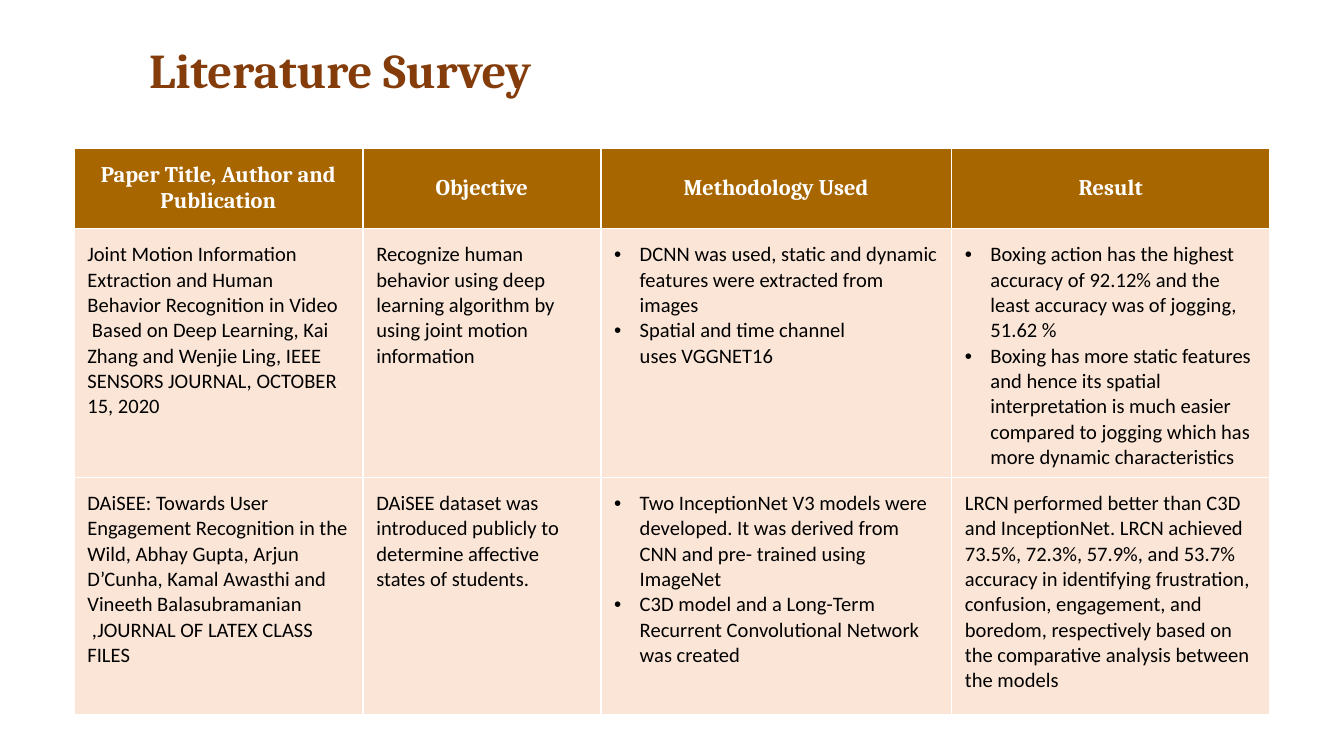
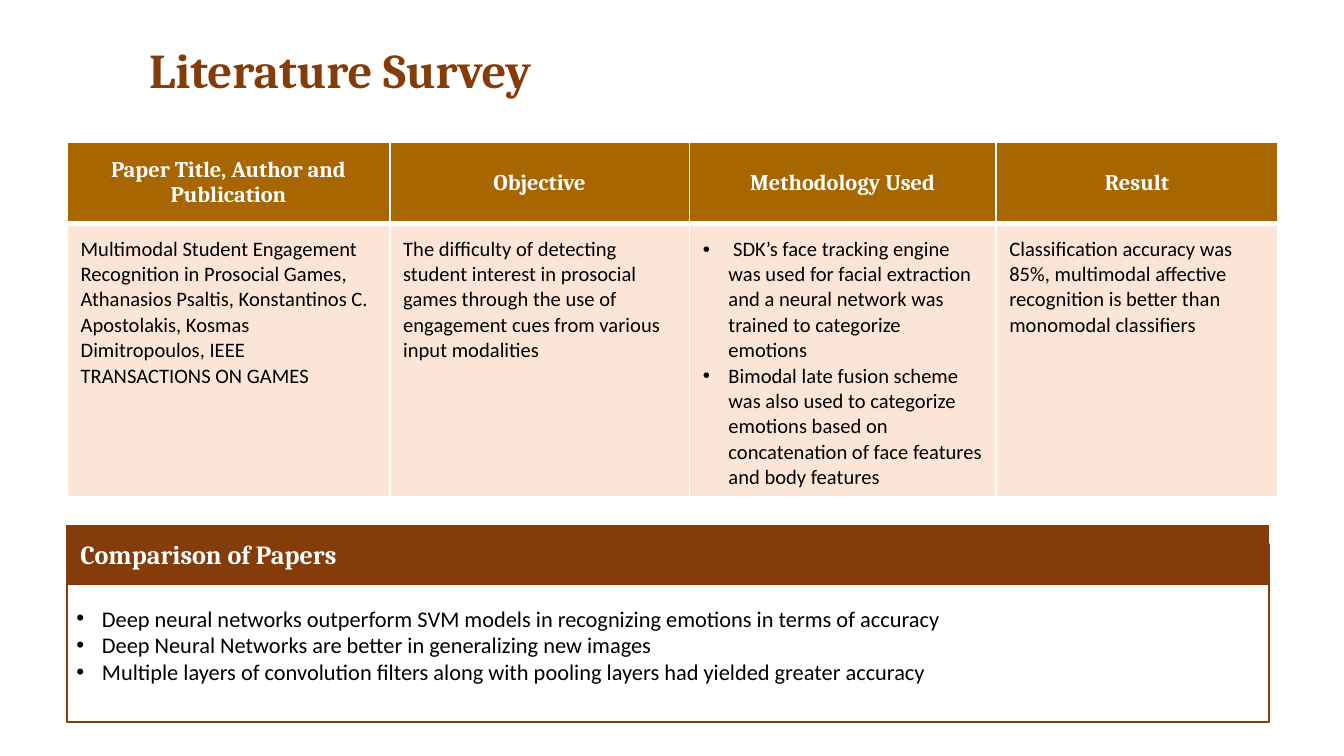
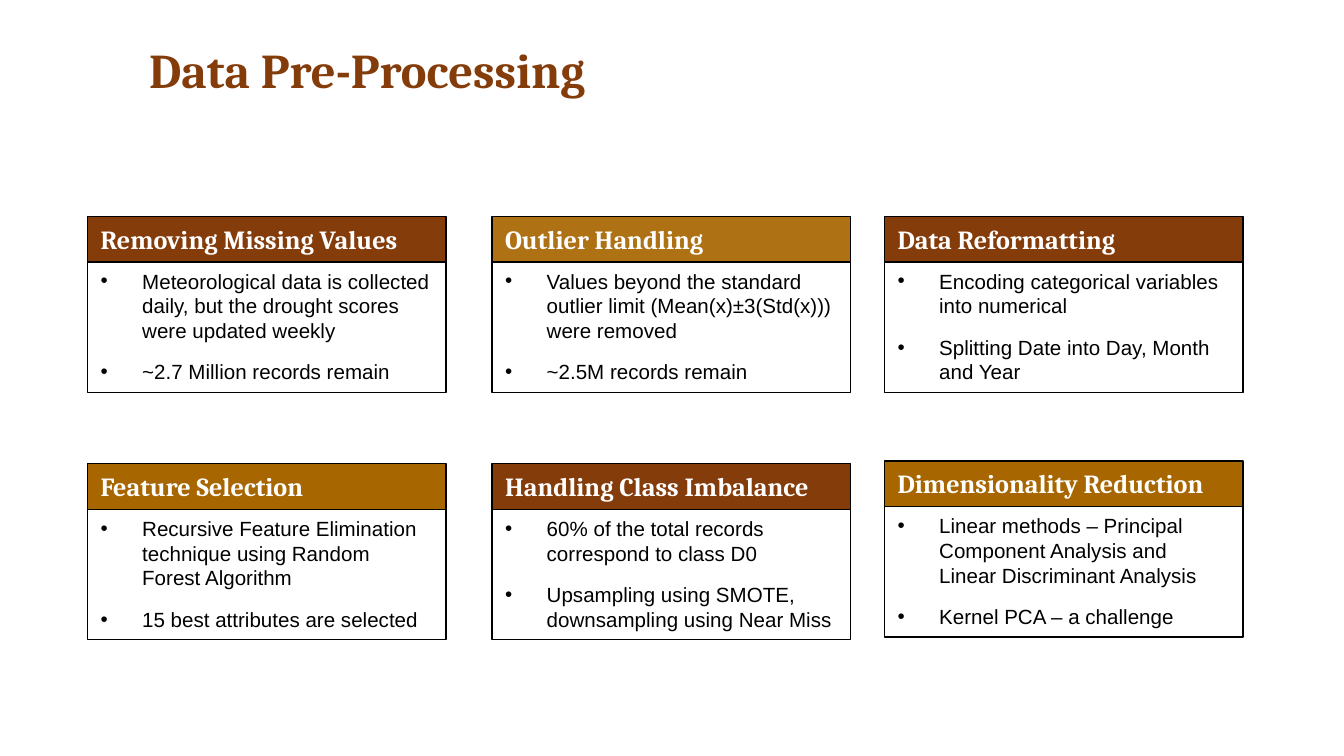
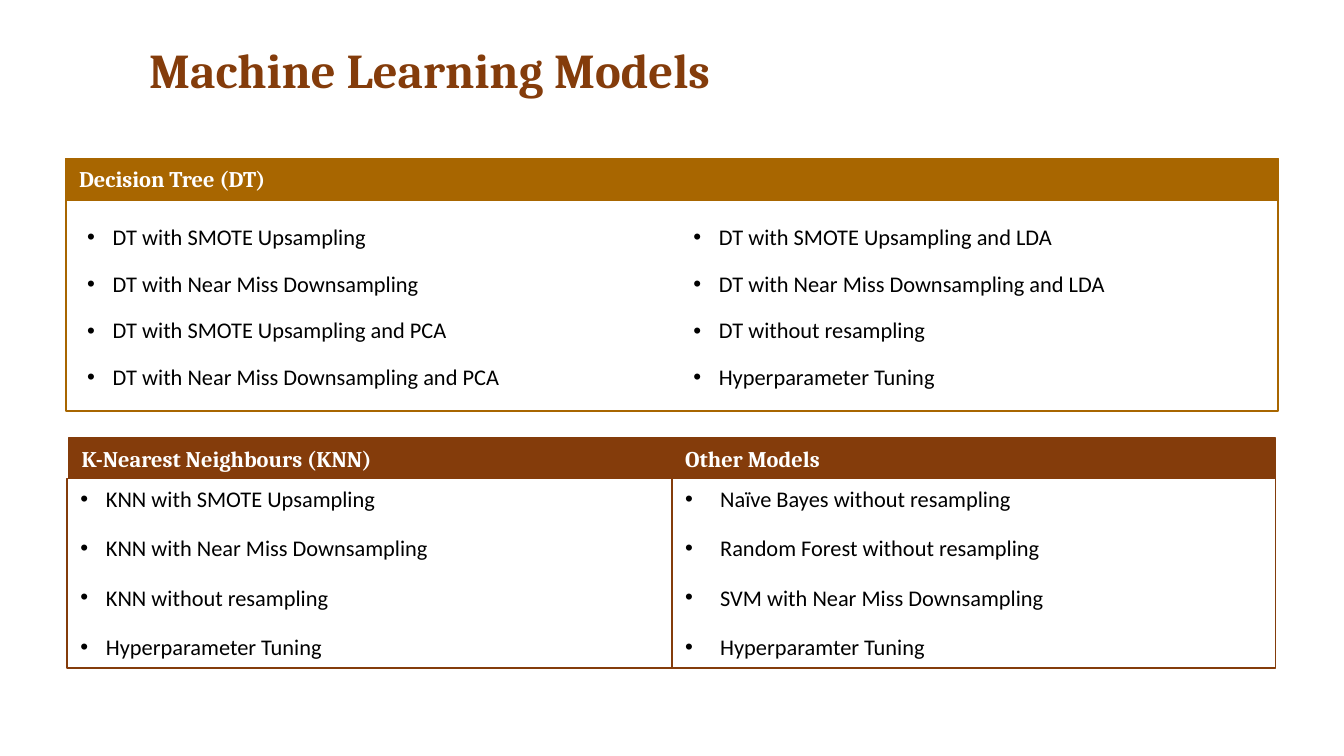
from copy import deepcopy

from pptx import Presentation
from pptx import util as u
from pptx.dml.color import RGBColor
from pptx.enum import shapes, text
from pptx.oxml import ns, xmlchemy

BROWN = RGBColor(0x84, 0x3C, 0x0B)
OCHRE = RGBColor(0xA8, 0x66, 0x00)
PEACH = RGBColor(0xFB, 0xE5, 0xD6)
WHITE = RGBColor(0xFF, 0xFF, 0xFF)
BLACK = RGBColor(0x00, 0x00, 0x00)

TOP = text.MSO_ANCHOR.TOP
MIDDLE = text.MSO_ANCHOR.MIDDLE
LEFT = text.PP_ALIGN.LEFT
CENTER = text.PP_ALIGN.CENTER

NBSP = chr(160)
HEADING = dict(font="Cambria", color=WHITE, bold=True)
CELL = dict(font="Calibri", size=11)
BODY = dict(font="Calibri", size=12)
SURVEY_HEADS = ["Paper Title, Author and Publication", "Objective", "Methodology Used", "Result"]


def add_xml(parent, tag, **attributes):
    element = xmlchemy.OxmlElement(tag)
    for name, value in attributes.items():
        element.set(name, str(value))
    parent.append(element)
    return element


def add_bullet(para, indent, hanging):
    properties = para._p.get_or_add_pPr()
    properties.set("marL", str(u.Inches(indent)))
    properties.set("indent", str(-u.Inches(hanging)))
    add_xml(add_xml(properties, "a:buClr"), "a:srgbClr", val=BLACK)
    add_xml(properties, "a:buFont", typeface="Arial")
    add_xml(properties, "a:buChar", char="•")


def write(frame, lines, font="Calibri", size=12, color=BLACK, bold=False, align=LEFT,
          bullet=None, hanging=None, before=0, after=0, spacing=None):
    for index, line in enumerate(lines):
        para = frame.add_paragraph() if index else frame.paragraphs[0]
        if bullet:
            add_bullet(para, bullet, hanging or bullet)
        para.alignment = align
        para.space_before = u.Pt(before if index else 0)
        para.space_after = u.Pt(after)
        if spacing:
            para.line_spacing = spacing
        for part_index, part in enumerate(line.split("\n")):
            if part_index:
                para.add_line_break()
            span = para.add_run()
            span.text = part
            span.font.name = font
            span.font.size = u.Pt(size)
            span.font.bold = bold
            span.font.color.rgb = color
        for line_break in para._p.findall(ns.qn("a:br")):
            line_break.append(deepcopy(para.runs[0]._r.rPr))


def set_opacity(fill, percent):
    color = fill._xPr.find(ns.qn("a:solidFill"))[0]
    add_xml(color, "a:alpha", val=percent * 1000)


def set_borders(cell, bottom):
    properties = cell._tc.get_or_add_tcPr()
    for position, (side, width) in enumerate((("L", 1), ("R", 1), ("T", 1), ("B", bottom))):
        line = xmlchemy.OxmlElement(f"a:ln{side}")
        line.set("w", str(u.Pt(width)))
        add_xml(add_xml(line, "a:solidFill"), "a:srgbClr", val=WHITE)
        properties.insert(position, line)


class SlideBuilder:
    def __init__(self, deck):
        self.deck = deck
        self.page = None
        self.target = None

    def start(self, title):
        self.page = self.deck.slides.add_slide(self.deck.slide_layouts[5])
        self.target = self.page.shapes
        box = self.page.shapes.title
        box.left, box.top = u.Inches(1.01), u.Inches(0.25)
        box.width, box.height = u.Inches(8.25), u.Inches(0.54)
        self.fill_frame(box.text_frame, [title], font="Cambria", size=26, color=BROWN, bold=True)

    def group(self):
        self.target = self.page.shapes.add_group_shape().shapes

    def fill_frame(self, frame, lines, anchor=TOP, inset=0.05, **style):
        frame.word_wrap = True
        frame.vertical_anchor = anchor
        frame.margin_left = frame.margin_right = u.Inches(0.1)
        frame.margin_top = frame.margin_bottom = u.Inches(inset)
        frame.auto_size = (text.MSO_AUTO_SIZE.SHAPE_TO_FIT_TEXT if anchor == TOP
                           else text.MSO_AUTO_SIZE.NONE)
        write(frame, lines, **style)

    def text(self, area, lines, **style):
        box = self.target.add_textbox(*map(u.Inches, area))
        self.fill_frame(box.text_frame, lines, **style)

    def box(self, area, lines=(), fill=None, opacity=100, line=BLACK, weight=0.75, **style):
        box = self.target.add_shape(shapes.MSO_SHAPE.RECTANGLE, *map(u.Inches, area))
        box.shadow.inherit = False
        if fill is None:
            box.fill.background()
        else:
            box.fill.solid()
            box.fill.fore_color.rgb = fill
            if opacity < 100:
                set_opacity(box.fill, opacity)
        box.line.color.rgb = line
        box.line.width = u.Pt(weight)
        if lines:
            self.fill_frame(box.text_frame, lines, **style)

    def card(self, left, top, heading, lines, fill, opacity=100):
        self.group()
        self.box((left, top, 2.67, 0.34), [heading], fill=fill, opacity=opacity, size=14, **HEADING)
        self.box((left, top + 0.34, 2.67, 0.97), lines, font="Arial", size=11,
                 bullet=0.31, after=9)

    def table(self, area, widths, heights, rows, rule=1):
        frame = self.page.shapes.add_table(len(heights), len(widths), *map(u.Inches, area))
        table = frame.table
        table.horz_banding = False
        for column, width in zip(table.columns, widths):
            column.width = u.Inches(width)
        for row, height in zip(table.rows, heights):
            row.height = u.Inches(height)
        frame.height = u.Inches(area[3])
        for row_index, row in enumerate([SURVEY_HEADS] + rows):
            for column_index, content in enumerate(row):
                self.cell(table.cell(row_index, column_index), content, row_index == 0, rule)

    def cell(self, cell, content, is_head, rule):
        cell.margin_left = cell.margin_right = u.Inches(0.1)
        cell.margin_top = cell.margin_bottom = u.Inches(0.1)
        cell.vertical_anchor = MIDDLE if is_head else TOP
        cell.fill.solid()
        cell.fill.fore_color.rgb = OCHRE if is_head else PEACH
        set_borders(cell, bottom=rule if is_head else 1)
        if is_head:
            write(cell.text_frame, [content], align=CENTER, size=12, **HEADING)
        elif isinstance(content, tuple):
            write(cell.text_frame, content, bullet=0.19, **CELL)
        else:
            write(cell.text_frame, content, **CELL)


def build_first_survey(builder):
    builder.start("Literature Survey")
    builder.table((0.55, 1.1, 8.9, 4.22), [2.15, 1.77, 2.61, 2.37], [0.47, 1.82, 1.77], [
        [
            ["Joint Motion Information Extraction and Human Behavior Recognition in Video\n"
             " Based on Deep Learning, Kai Zhang and Wenjie Ling, IEEE SENSORS JOURNAL, "
             "OCTOBER 15, 2020"],
            ["Recognize human behavior using deep learning algorithm by using joint motion "
             "information"],
            ("DCNN was used, static and dynamic features were extracted from images",
             f"Spatial and time channel uses{NBSP}VGGNET16"),
            ("Boxing action has the highest accuracy of 92.12% and the least accuracy was of "
             "jogging, 51.62 %",
             "Boxing has more static features and hence its spatial interpretation is much "
             "easier compared to jogging which has more dynamic characteristics"),
        ],
        [
            ["DAiSEE: Towards User Engagement Recognition in the Wild, Abhay Gupta, Arjun "
             "D’Cunha, Kamal Awasthi and Vineeth "
             f"Balasubramanian{NBSP} {NBSP},JOURNAL OF LATEX CLASS FILES"],
            ["DAiSEE dataset was introduced publicly to determine affective states of students."],
            ("Two InceptionNet V3 models were developed. It was derived from CNN and pre- "
             "trained using ImageNet",
             "C3D model and a Long-Term Recurrent Convolutional Network was created"),
            ["LRCN performed better than C3D and InceptionNet. LRCN achieved",
             "73.5%, 72.3%, 57.9%, and 53.7% accuracy in identifying frustration, confusion, "
             "engagement, and boredom, respectively based on the comparative analysis between "
             "the models"],
        ],
    ])


def build_second_survey(builder):
    builder.start("Literature Survey")
    builder.table((0.5, 1.06, 9.01, 2.64), [2.4, 2.23, 2.28, 2.1], [0.39, 2.04], [
        [
            ["Multimodal Student Engagement Recognition in Prosocial Games,",
             "Athanasios Psaltis, Konstantinos C. Apostolakis, Kosmas Dimitropoulos, IEEE "
             "TRANSACTIONS ON GAMES"],
            ["The difficulty of detecting student interest in prosocial games through the use "
             "of engagement cues from various input modalities"],
            (" SDK’s face tracking engine was used for facial extraction and a neural network "
             "was trained to categorize emotions",
             "Bimodal late fusion scheme was also used to categorize emotions based on "
             "concatenation of face features and body features"),
            ["Classification accuracy was 85%, multimodal affective recognition is better than "
             "monomodal classifiers"],
        ],
    ], rule=3)
    builder.group()
    builder.box((0.5, 4.05, 8.94, 1.32), fill=WHITE, opacity=90, line=BROWN, weight=1)
    builder.box((0.5, 3.91, 8.94, 0.44), ["Comparison of Papers"], fill=BROWN, line=BROWN,
                inset=0.1, size=14, **HEADING)
    builder.text((0.47, 4.45, 8.94, 0.71), [
        "Deep neural networks outperform SVM models in recognizing emotions in terms of accuracy",
        "Deep Neural Networks are better in generalizing new images",
        "Multiple layers of convolution filters along with pooling layers had yielded greater "
        "accuracy",
    ], bullet=0.19, **BODY)


def build_preprocessing(builder):
    builder.start("Data Pre-Processing")
    first, second, third = 0.65, 3.66, 6.58
    upper, lower = 1.61, 3.45
    builder.card(first, upper, "Removing Missing Values", [
        "Meteorological data is collected daily, but the drought scores were updated weekly",
        "~2.7 Million records remain"], BROWN)
    builder.card(second, upper, "Outlier Handling", [
        "Values beyond the standard outlier limit (Mean(x)±3(Std(x))) were removed",
        "~2.5M records remain"], OCHRE, opacity=92)
    builder.card(second, lower, "Handling Class Imbalance", [
        "60% of the total records correspond to class D0",
        "Upsampling using SMOTE, downsampling using Near Miss"], BROWN)
    builder.card(first, lower, "Feature Selection", [
        "Recursive Feature Elimination technique using Random Forest Algorithm",
        "15 best attributes are selected"], OCHRE)
    builder.card(third, upper, "Data Reformatting", [
        "Encoding categorical variables into numerical",
        "Splitting Date into Day, Month and Year"], BROWN)
    builder.card(third, lower - 0.02, "Dimensionality Reduction", [
        "Linear methods – Principal Component Analysis and Linear Discriminant Analysis",
        "Kernel PCA – a challenge"], OCHRE)


def build_models(builder):
    builder.start("Machine Learning Models")
    spaced = dict(before=6, after=6, **BODY)
    builder.box((0.49, 1.18, 9.02, 0.31), ["Decision Tree (DT)"], fill=OCHRE, line=OCHRE,
                size=12, **HEADING)
    builder.box((0.49, 1.18, 9.02, 1.88), line=OCHRE, weight=1)
    tree_columns = [
        (0.49, 4.42, ["DT with SMOTE Upsampling", "DT with Near Miss Downsampling",
                      "DT with SMOTE Upsampling and PCA",
                      "DT with Near Miss Downsampling and PCA"]),
        (5, 4.49, ["DT with SMOTE Upsampling and LDA", "DT with Near Miss Downsampling and LDA",
                   "DT without resampling", "Hyperparameter Tuning"]),
    ]
    for left, width, lines in tree_columns:
        builder.text((left, 1.53, width, 1.53), lines, anchor=MIDDLE, bullet=0.25,
                     hanging=0.19, spacing=0.9, **spaced)
    model_panels = [
        (0.5, 0.51, 4.5, 0.19, "K-Nearest Neighbours (KNN)",
         ["KNN with SMOTE Upsampling", "KNN with Near Miss Downsampling",
          "KNN without resampling", "Hyperparameter Tuning"]),
        (5, 5, 4.49, 0.26, "Other Models",
         ["Naïve Bayes without resampling", "Random Forest without resampling",
          "SVM with Near Miss Downsampling", "Hyperparamter Tuning"]),
    ]
    for left, head_left, width, bullet, heading, lines in model_panels:
        builder.box((left, 3.56, width, 1.41), lines, line=BROWN, bullet=bullet, **spaced)
        builder.box((head_left, 3.26, width, 0.3), [heading], fill=BROWN, line=BROWN,
                    size=12, **HEADING)


def main():
    deck = Presentation()
    deck.slide_width = u.Inches(10)
    deck.slide_height = deck.slide_width * 9 // 16
    builder = SlideBuilder(deck)
    build_first_survey(builder)
    build_second_survey(builder)
    build_preprocessing(builder)
    build_models(builder)
    deck.save("out.pptx")


if __name__ == "__main__":
    main()
